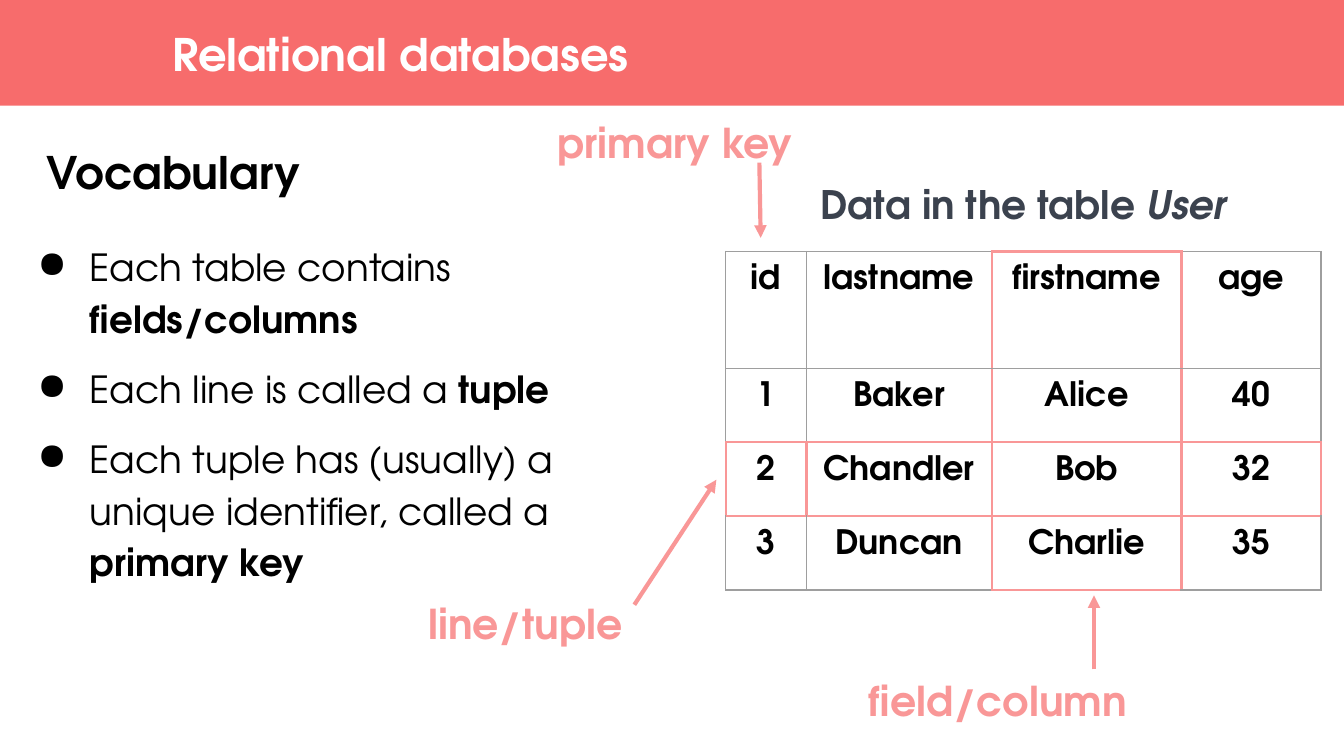
from lxml import etree
from pptx import Presentation
from pptx.dml.color import RGBColor
from pptx.enum.shapes import MSO_CONNECTOR, MSO_SHAPE
from pptx.enum.text import MSO_ANCHOR, PP_ALIGN
from pptx.oxml.ns import qn
from pptx.util import Pt

CENTER = PP_ALIGN.CENTER
MIDDLE = MSO_ANCHOR.MIDDLE
RECT = MSO_SHAPE.RECTANGLE
STRAIGHT = MSO_CONNECTOR.STRAIGHT

FONT = "TeX Gyre Adventor"
COLORS = {
    "banner": "F76C6C",
    "accent": "F99797",
    "grid": "9E9E9E",
    "caption": "3B424E",
    "text": "000000",
    "white": "FFFFFF",
}
MARGIN = 7.2

BULLETS = [
    [("Each table contains ", ""), ("fields/columns", "b")],
    [("Each line is called a ", ""), ("tuple", "b")],
    [("Each tuple has (usually) a unique identifier, called a ", ""), ("primary key", "b")],
]
CAPTION = [("Data in the table ", "b"), ("User", "bi")]
USERS = [
    ["id", "lastname", "firstname", "age"],
    ["1", "Baker", "Alice", "40"],
    ["2", "Chandler", "Bob", "32"],
    ["3", "Duncan", "Charlie", "35"],
]
COL_WIDTHS = [43.2, 99.36, 101.52, 74.88]
ROW_HEIGHTS = [39.6, 62.64, 39.6, 39.6, 39.6]
FIELD_COL, TUPLE_ROW, LAST_ROW = 2, 3, 4

LABELS = [
    ("primary key", (291.6, 51.84, 144, 41.04), None),
    ("field/column", (454.32, 350.64, 160.56, 41.04), CENTER),
    ("line/tuple", (209.52, 309.6, 144, 41.04), CENTER),
]
ARROWS = [
    (406.8, 87.12, 407.52, 127.44),
    (586.08, 358.56, 586.08, 318.96),
    (339.84, 324, 383.76, 257.04),
]


def rgb(name):
    """Return the named colour."""
    return RGBColor.from_string(COLORS[name])


def write_runs(p, parts, size, color):
    """Fill a paragraph with (text, style) runs."""
    for text, style in parts:
        r = p.add_run()
        r.text = text
        r.font.name = FONT
        r.font.size = Pt(size)
        r.font.bold = "b" in style
        r.font.italic = "i" in style
        r.font.color.rgb = rgb(color)


def set_margins(frame, margin):
    """Give a text frame or cell equal margins."""
    frame.margin_left = frame.margin_right = Pt(margin)
    frame.margin_top = frame.margin_bottom = Pt(margin)


def add_text(s, box, paragraphs, size, color, margin=MARGIN):
    """Add a wrapping text box and return its text frame."""
    tf = s.shapes.add_textbox(*map(Pt, box)).text_frame
    tf.word_wrap = True
    set_margins(tf, margin)
    for i, parts in enumerate(paragraphs):
        p = tf.add_paragraph() if i else tf.paragraphs[0]
        write_runs(p, parts, size, color)
    return tf


def add_banner(s):
    """Add the coloured band with the slide title."""
    sp = s.shapes.add_shape(RECT, Pt(-1.44), Pt(0), Pt(722.88), Pt(56.6))
    sp.shadow.inherit = False
    sp.fill.solid()
    sp.fill.fore_color.rgb = rgb("banner")
    sp.line.fill.background()
    title = [[("Relational databases", "b")]]
    tf = add_text(s, (92.16, 0, 308.16, 56.88), title, 24, "white", margin=0)
    tf.vertical_anchor = MIDDLE


def add_bullets(s):
    """Add the bulleted vocabulary list."""
    tf = add_text(s, (5.04, 120.24, 367.2, 170.64), BULLETS, 20, "text")
    for i, p in enumerate(tf.paragraphs):
        p.line_spacing = 1.15
        p.space_before = Pt(10 if i else 0)
        pPr = p._p.get_or_add_pPr()
        pPr.set("marL", str(Pt(36)))
        pPr.set("indent", str(Pt(-28.08)))
        etree.SubElement(pPr, qn("a:buChar")).set("char", "●")


def add_label(s, text, box, align):
    """Add an accent label for part of the table."""
    p = add_text(s, box, [[(text, "b")]], 22, "accent").paragraphs[0]
    p.alignment = align
    p.line_spacing = 1.15
    p.space_after = Pt(10)


def add_arrow(s, x1, y1, x2, y2):
    """Add an accent arrow pointing at its second end."""
    arrow = s.shapes.add_connector(STRAIGHT, Pt(x1), Pt(y1), Pt(x2), Pt(y2))
    arrow.line.color.rgb = rgb("accent")
    arrow.line.width = Pt(2.25)
    etree.SubElement(arrow.line._get_or_add_ln(), qn("a:tailEnd")).set("type", "triangle")
    etree.SubElement(arrow._element.spPr, qn("a:effectLst"))


def is_accent(row, col, side):
    """Tell whether a cell edge belongs to the marked tuple or field."""
    beside_tuple = (row, side) in ((TUPLE_ROW - 1, "B"), (TUPLE_ROW + 1, "T"))
    beside_field = (col, side) in ((FIELD_COL - 1, "R"), (FIELD_COL + 1, "L"))
    in_field = col == FIELD_COL and (
        side in "LR" or (row, side) in ((1, "T"), (LAST_ROW, "B"))
    )
    return row == TUPLE_ROW or beside_tuple or beside_field or in_field


def set_border(cell, side, color, width):
    """Draw one edge of a table cell."""
    ln = etree.SubElement(cell._tc.get_or_add_tcPr(), qn(f"a:ln{side}"))
    ln.set("w", str(Pt(width)))
    fill = etree.SubElement(ln, qn("a:solidFill"))
    etree.SubElement(fill, qn("a:srgbClr")).set("val", COLORS[color])


def fill_cell(cell, parts, size, color):
    """Write centred text into a cell without a background."""
    set_margins(cell, MARGIN)
    cell.fill.background()
    p = cell.text_frame.paragraphs[0]
    p.alignment = CENTER
    write_runs(p, parts, size, color)


def add_users_table(s):
    """Add the captioned User table with its marked row and column."""
    frame = s.shapes.add_table(
        len(ROW_HEIGHTS), len(COL_WIDTHS), Pt(388.8), Pt(95.04),
        Pt(sum(COL_WIDTHS)), Pt(sum(ROW_HEIGHTS)),
    )
    table = frame.table
    table.first_row = table.horz_banding = False
    for column, width in zip(table.columns, COL_WIDTHS):
        column.width = Pt(width)
    for row, height in zip(table.rows, ROW_HEIGHTS):
        row.height = Pt(height)
    caption = table.cell(0, 0)
    caption.merge(table.cell(0, len(COL_WIDTHS) - 1))
    set_border(caption, "B", "grid", 0.75)
    fill_cell(caption, CAPTION, 21, "caption")
    for row, values in enumerate(USERS, start=1):
        for col, value in enumerate(values):
            cell = table.cell(row, col)
            for side in "LRTB":
                style = ("accent", 1.5) if is_accent(row, col, side) else ("grid", 0.75)
                set_border(cell, side, *style)
            fill_cell(cell, [(value, "b")], 18, "text")


def main():
    """Build and save the slide."""
    prs = Presentation()
    prs.slide_width, prs.slide_height = Pt(720), Pt(405)
    s = prs.slides.add_slide(prs.slide_layouts[6])
    add_banner(s)
    add_text(s, (18, 70.56, 160.56, 43.92), [[("Vocabulary", "b")]], 24, "text")
    add_bullets(s)
    add_users_table(s)
    for label in LABELS:
        add_label(s, *label)
    for arrow in ARROWS:
        add_arrow(s, *arrow)
    prs.save("out.pptx")


if __name__ == "__main__":
    main()
